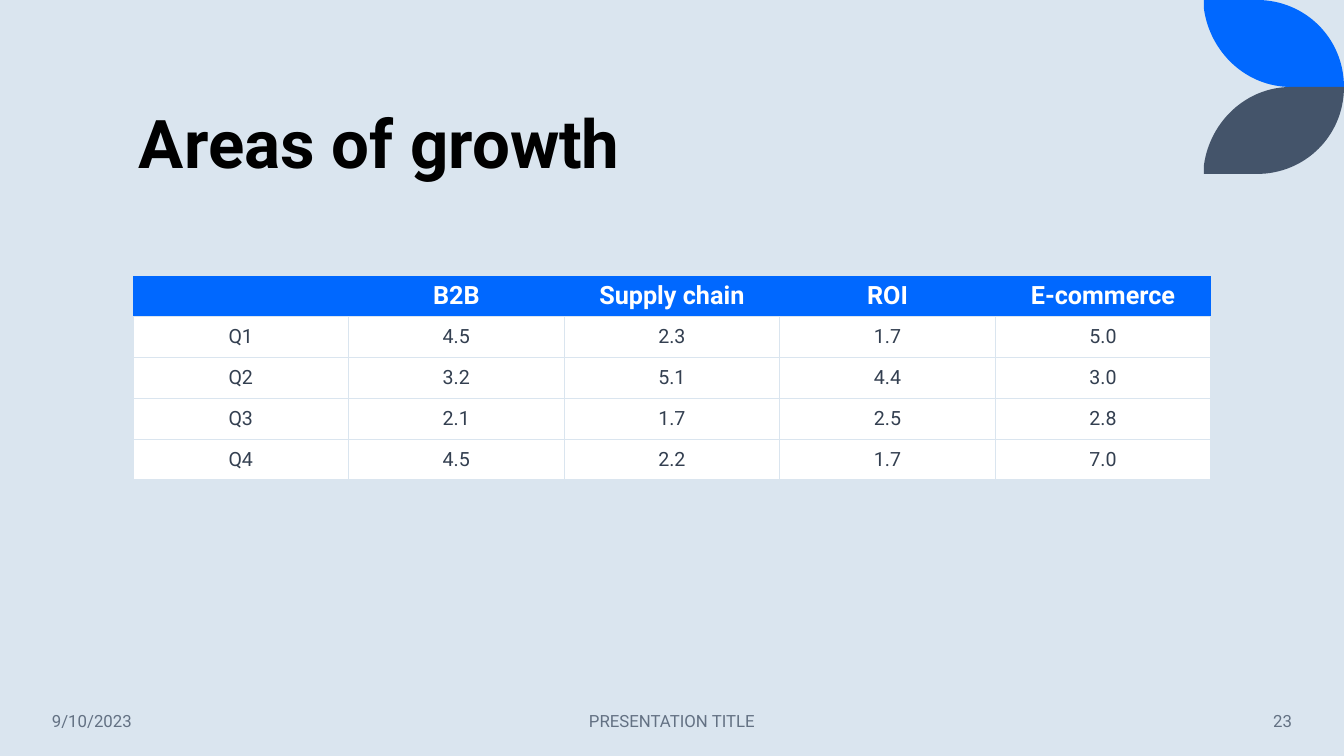
"""Builds the "Areas of growth" slide with its quarterly table."""
from dataclasses import dataclass

from lxml import etree
from pptx import Presentation
from pptx.dml.color import RGBColor
from pptx.enum.text import MSO_ANCHOR, PP_ALIGN
from pptx.oxml.ns import qn
from pptx.util import Pt

LEFT, CENTER, RIGHT = PP_ALIGN.LEFT, PP_ALIGN.CENTER, PP_ALIGN.RIGHT
MIDDLE, BOTTOM = MSO_ANCHOR.MIDDLE, MSO_ANCHOR.BOTTOM

EMU_PER_PX = 914400 / 100.8


@dataclass(frozen=True)
class Theme:
    font: str = "Roboto"
    background: str = "DAE5EF"
    accent: str = "0068FF"
    slate: str = "44546A"
    white: str = "FFFFFF"
    title: str = "000000"
    body: str = "333F50"
    footer: str = "637183"
    title_size: int = 48
    header_size: int = 18
    body_size: int = 14
    footer_size: int = 12
    border_width: int = 1


@dataclass(frozen=True)
class Label:
    text: str
    x: int
    y: int
    w: int
    h: int
    size: int
    color: str
    align: PP_ALIGN = LEFT
    anchor: MSO_ANCHOR = MIDDLE
    bold: bool = False
    line_spacing: float = 1.0


@dataclass(frozen=True)
class Leaf:
    color: str
    flipped: bool


THEME = Theme()
FOOTER = (THEME.footer_size, THEME.footer)
LABELS = (
    Label("Areas of growth", 129, 42, 1078, 146, THEME.title_size, THEME.title,
          anchor=BOTTOM, bold=True, line_spacing=0.9),
    Label("9/10/2023", 42, 701, 188, 40, *FOOTER),
    Label("PRESENTATION TITLE", 445, 701, 454, 40, *FOOTER, align=CENTER),
    Label("23", 1120, 701, 182, 40, *FOOTER, align=RIGHT),
)
LEAVES = (Leaf(THEME.accent, False), Leaf(THEME.slate, True))
LEAF_X, LEAF_HEIGHT = 1204, 87
LEAF_CORNERS = ((0, 0), (53, 0), (140, 87), (87, 87), (0, 9))
LEAF_CURVES = {1: ((101, 0), (140, 38)), 3: ((42, 87), (6, 52))}
GROWTH = (
    ("", "B2B", "Supply chain", "ROI", "E-commerce"),
    ("Q1", "4.5", "2.3", "1.7", "5.0"),
    ("Q2", "3.2", "5.1", "4.4", "3.0"),
    ("Q3", "2.1", "1.7", "2.5", "2.8"),
    ("Q4", "4.5", "2.2", "1.7", "7.0"),
)


def px(value: float) -> int:
    return round(value * EMU_PER_PX)


def rgb(color: str) -> RGBColor:
    return RGBColor.from_string(color)


def style_runs(p, size: int, color: str, bold: bool) -> None:
    for r in p.runs:
        r.font.name = THEME.font
        r.font.size = Pt(size)
        r.font.bold = bold
        r.font.color.rgb = rgb(color)


def add_leaf(s, leaf: Leaf) -> None:
    def local(x: int, y: int) -> tuple[int, int]:
        return px(x), px(LEAF_HEIGHT - y if leaf.flipped else y)

    corners = [local(*corner) for corner in LEAF_CORNERS]
    builder = s.shapes.build_freeform(*corners[0])
    builder.add_line_segments(corners[1:], close=True)
    sp = builder.convert_to_shape(px(LEAF_X), px(LEAF_HEIGHT if leaf.flipped else 0))
    segments = list(sp._element.iter(qn("a:lnTo")))
    for index, controls in LEAF_CURVES.items():
        segment = segments[index]
        segment.tag = qn("a:cubicBezTo")
        for position, control in enumerate(controls):
            x, y = local(*control)
            segment.insert(position, etree.Element(qn("a:pt"), x=str(x), y=str(y)))
    sp.shadow.inherit = False
    sp.fill.solid()
    sp.fill.fore_color.rgb = rgb(leaf.color)
    sp.line.fill.background()


def add_label(s, label: Label) -> None:
    sp = s.shapes.add_textbox(px(label.x), px(label.y), px(label.w), px(label.h))
    tf = sp.text_frame
    tf.word_wrap = True
    tf.vertical_anchor = label.anchor
    p = tf.paragraphs[0]
    p.text = label.text
    p.alignment = label.align
    p.line_spacing = label.line_spacing
    style_runs(p, label.size, label.color, label.bold)


def set_borders(cell, visible: tuple[str, ...]) -> None:
    tc_pr = cell._tc.get_or_add_tcPr()
    for index, side in enumerate(("L", "R", "T", "B")):
        ln = etree.Element(qn(f"a:ln{side}"), w=str(Pt(THEME.border_width)))
        if side in visible:
            fill = etree.SubElement(ln, qn("a:solidFill"))
            etree.SubElement(fill, qn("a:srgbClr"), val=THEME.background)
        else:
            etree.SubElement(ln, qn("a:noFill"))
        tc_pr.insert(index, ln)


def add_growth_table(s) -> None:
    table = s.shapes.add_table(len(GROWTH), len(GROWTH[0]),
                               px(133), px(276), px(1078), px(204)).table
    table.horz_banding = False
    for row, values in enumerate(GROWTH):
        header = row == 0
        for column, value in enumerate(values):
            cell = table.cell(row, column)
            cell.fill.solid()
            cell.fill.fore_color.rgb = rgb(THEME.accent if header else THEME.white)
            cell.vertical_anchor = MIDDLE
            cell.margin_top = cell.margin_bottom = 0
            if value:
                p = cell.text_frame.paragraphs[0]
                p.text = value
                p.alignment = CENTER
                style_runs(p, THEME.header_size if header else THEME.body_size,
                           THEME.white if header else THEME.body, header)
            set_borders(cell, ("B",) if header else ("L", "R", "T", "B"))


def main() -> None:
    prs = Presentation()
    prs.slide_width, prs.slide_height = px(1344), px(756)
    s = prs.slides.add_slide(prs.slide_layouts[6])
    s.background.fill.solid()
    s.background.fill.fore_color.rgb = rgb(THEME.background)
    for leaf in LEAVES:
        add_leaf(s, leaf)
    add_growth_table(s)
    for label in LABELS:
        add_label(s, label)
    prs.save("out.pptx")


if __name__ == "__main__":
    main()
